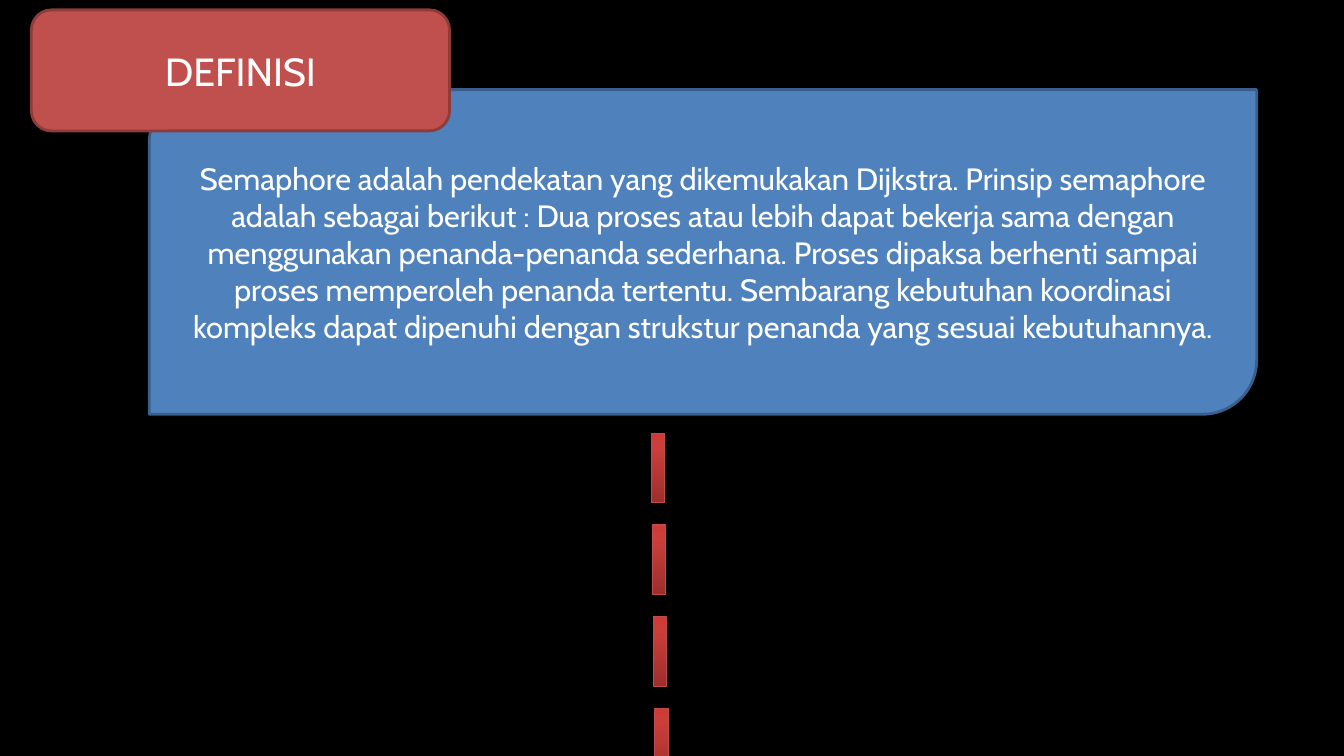
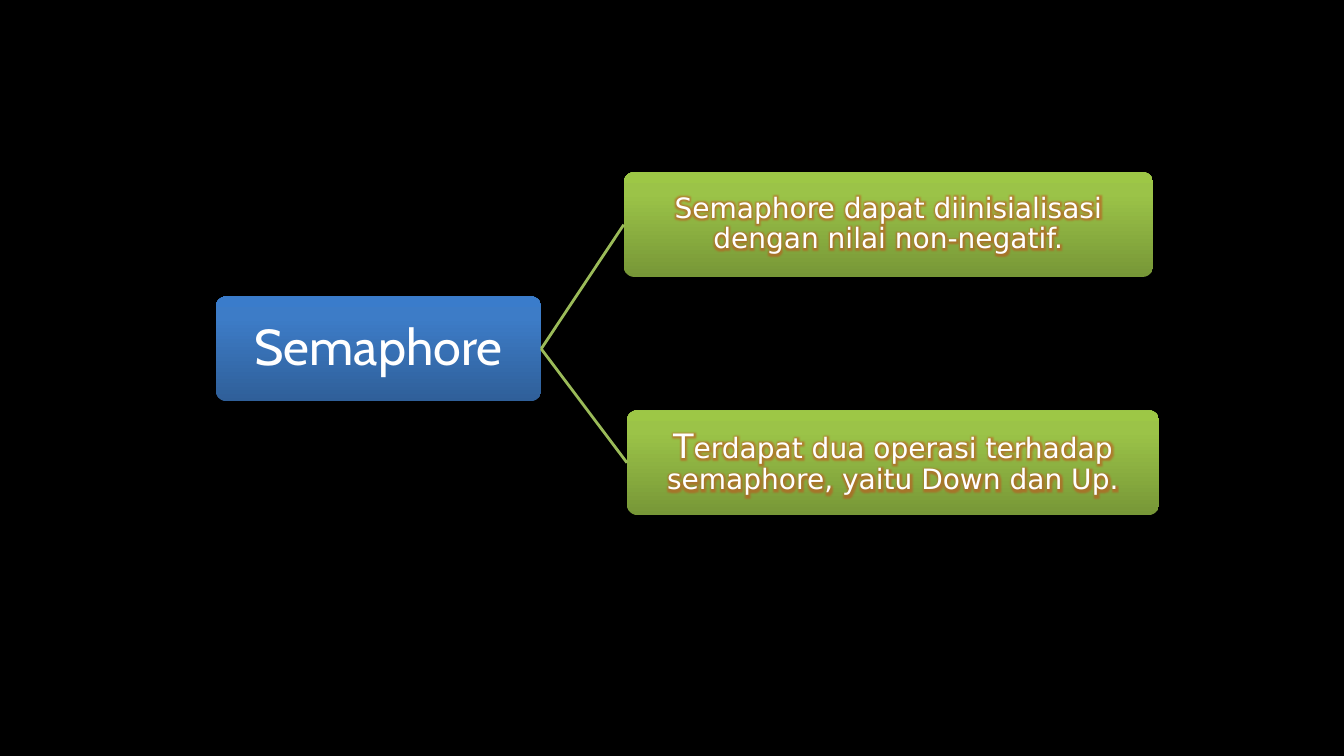
from lxml.etree import SubElement
from pptx import Presentation
from pptx.dml.color import RGBColor
from pptx.enum.shapes import MSO_CONNECTOR as Connector, MSO_SHAPE as Shape
from pptx.enum.text import MSO_ANCHOR, PP_ALIGN
from pptx.oxml.ns import qn
from pptx.util import Cm, Pt

COLORS = {
    "background": "000000",
    "text": "FFFFFF",
    "body": "4F81BD",
    "body_line": "3A5F8C",
    "title": "C0504D",
    "title_line": "8E3B39",
    "bar_line": "BF4C48",
    "branch_line": "9BBB59",
    "glow": "C0561E",
}
GRADIENTS = {
    "red": ((0, "9C2F2D"), (80, "CB3E3A"), (100, "CE3B37")),
    "blue": ((0, "2F5F99"), (80, "3D7CC7"), (100, "3A7CCB")),
    "green": ((0, "779737"), (80, "9BC348"), (100, "9DC746")),
}
HEADING_FONT, BRANCH_FONT = "Cabin", "DejaVu Sans"

TITLE = "DEFINISI"
DEFINITION = (
    "Semaphore adalah pendekatan yang dikemukakan Dijkstra. Prinsip semaphore "
    "adalah sebagai berikut : Dua proses atau lebih dapat bekerja sama dengan "
    "menggunakan penanda-penanda sederhana. Proses dipaksa berhenti sampai "
    "proses memperoleh penanda tertentu. Sembarang kebutuhan koordinasi "
    "kompleks dapat dipenuhi dengan strukstur penanda yang sesuai kebutuhannya."
)
ROOT = "Semaphore"
BRANCHES = [
    ((15.72, 4.34, 13.34), [("Semaphore dapat diinisialisasi dengan nilai non-negatif.", 20)]),
    ((15.8, 10.34, 13.41), [("T", 24), ("erdapat dua operasi terhadap semaphore, yaitu Down dan Up.", 20)]),
]
NODE_HEIGHT = 2.64
BAR_COUNT = 4
BAR_BOX = (16.41, 10.92, 0.34, 1.75)
BAR_STEP = (0.03, 2.31)


def rgb(name):
    return RGBColor.from_string(COLORS[name])


def add_box(slide, kind, box, line=None, line_width=2):
    shape = slide.shapes.add_shape(kind, *map(Cm, box))
    shape.shadow.inherit = False
    if line:
        shape.line.color.rgb = rgb(line)
        shape.line.width = Pt(line_width)
    else:
        shape.line.fill.background()
    return shape


def fill_solid(shape, color):
    shape.fill.solid()
    shape.fill.fore_color.rgb = rgb(color)


def fill_gradient(shape, name):
    shape.fill.gradient()
    shape.fill.gradient_angle = 90
    stops = shape.element.spPr.find(".//" + qn("a:gsLst"))
    stops.clear()
    for position, color in GRADIENTS[name]:
        stop = SubElement(stops, qn("a:gs"), pos=str(position * 1000))
        SubElement(stop, qn("a:srgbClr"), val=color)


def add_glow(run):
    effects = SubElement(run.font._element, qn("a:effectLst"))
    glow = SubElement(effects, qn("a:glow"), rad="101600")
    color = SubElement(glow, qn("a:srgbClr"), val=COLORS["glow"])
    SubElement(color, qn("a:alpha"), val="60000")


def write(shape, text, size, font=HEADING_FONT):
    frame = shape.text_frame
    frame.word_wrap = True
    frame.vertical_anchor = MSO_ANCHOR.MIDDLE
    paragraph = frame.paragraphs[0]
    paragraph.text = text
    paragraph.alignment = PP_ALIGN.CENTER
    paragraph.font.name = font
    paragraph.font.size = Pt(size)
    paragraph.font.color.rgb = rgb("text")
    return paragraph


def add_node(slide, box, gradient):
    node = add_box(slide, Shape.ROUNDED_RECTANGLE, (*box, NODE_HEIGHT))
    node.adjustments[0] = 0.1
    fill_gradient(node, gradient)
    frame = node.text_frame
    frame.margin_left = frame.margin_right = Cm(0.12)
    frame.margin_top = frame.margin_bottom = Cm(0.12)
    return node


def join(slide, start, end):
    connector = slide.shapes.add_connector(Connector.STRAIGHT, 0, 0, 0, 0)
    connector.begin_connect(start, 3)
    connector.end_connect(end, 1)
    connector.line.color.rgb = rgb("branch_line")
    connector.line.width = Pt(2)
    SubElement(connector.element.spPr, qn("a:effectLst"))


def build_definition(slide):
    body = add_box(slide, Shape.ROUND_2_DIAG_RECTANGLE, (3.76, 2.26, 27.91, 8.18), "body_line")
    fill_solid(body, "body")
    write(body, DEFINITION, 22)
    title = add_box(slide, Shape.FLOWCHART_ALTERNATE_PROCESS, (0.79, 0.25, 10.54, 3.05), "title_line")
    fill_solid(title, "title")
    write(title, TITLE, 28)
    left, top, width, height = BAR_BOX
    for index in range(BAR_COUNT):
        box = (left + index * BAR_STEP[0], top + index * BAR_STEP[1], width, height)
        bar = add_box(slide, Shape.RECTANGLE, box, "bar_line", 0.75)
        fill_gradient(bar, "red")


def build_tree(slide):
    root = add_node(slide, (5.44, 7.47, 8.2), "blue")
    write(root, ROOT, 36).line_spacing = 0.9
    for box, parts in BRANCHES:
        branch = add_node(slide, box, "green")
        paragraph = write(branch, "", 20, BRANCH_FONT)
        paragraph.line_spacing = 0.9
        for text, size in parts:
            run = paragraph.add_run()
            run.text = text
            run.font.size = Pt(size)
            add_glow(run)
        join(slide, root, branch)


def main():
    presentation = Presentation()
    presentation.slide_width, presentation.slide_height = Cm(33.87), Cm(19.05)
    background = presentation.slide_master.background.fill
    background.solid()
    background.fore_color.rgb = rgb("background")
    for build in (build_definition, build_tree):
        build(presentation.slides.add_slide(presentation.slide_layouts[6]))
    presentation.save("out.pptx")


if __name__ == "__main__":
    main()
